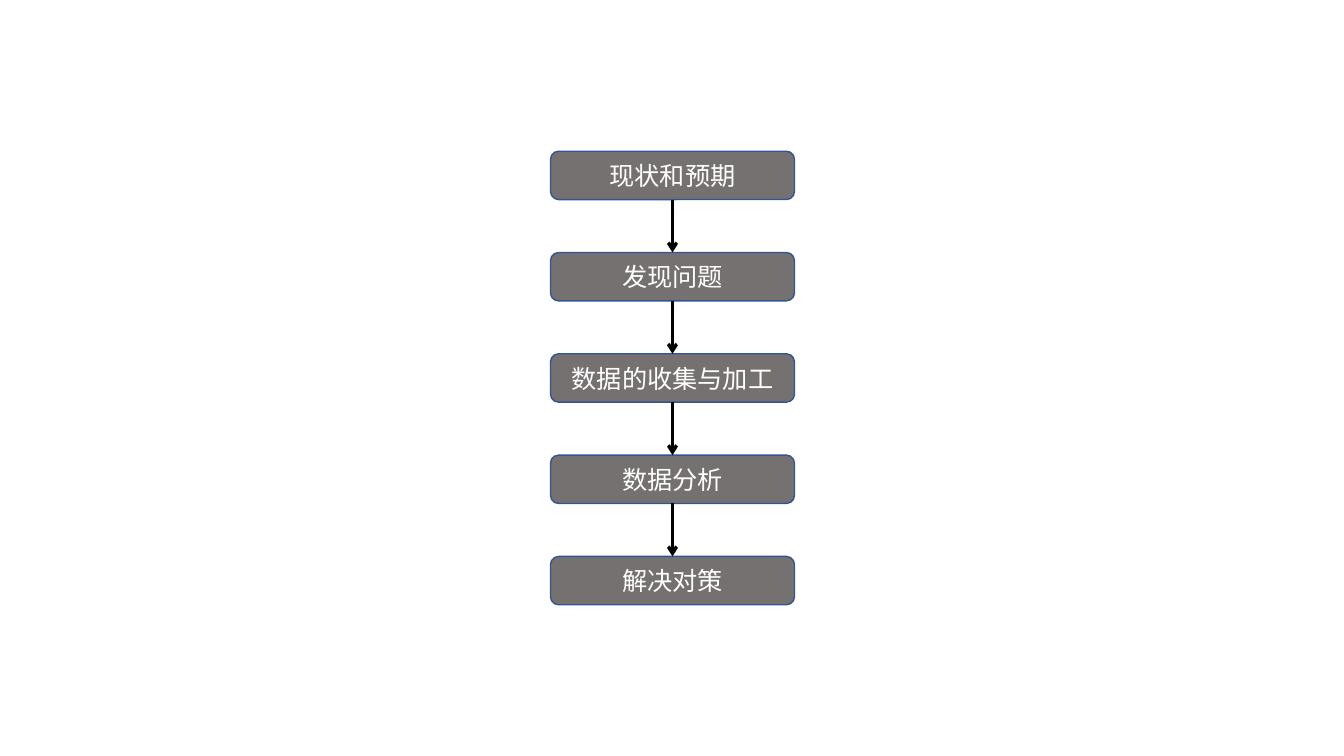
from lxml import etree
from pptx import Presentation
from pptx.dml.color import RGBColor
from pptx.enum.shapes import MSO_CONNECTOR, MSO_SHAPE
from pptx.enum.text import MSO_ANCHOR, PP_ALIGN
from pptx.oxml.ns import qn
from pptx.shapes.autoshape import Shape
from pptx.shapes.connector import Connector
from pptx.slide import Slide
from pptx.util import Inches, Pt

ROUNDED = MSO_SHAPE.ROUNDED_RECTANGLE
STRAIGHT = MSO_CONNECTOR.STRAIGHT
MIDDLE = MSO_ANCHOR.MIDDLE
CENTER = PP_ALIGN.CENTER

FONT = "Noto Sans CJK SC"
STEP_FILL, STEP_BORDER = "767171", "325491"
STEP_TEXT, ARROW_COLOR = "FFFFFF", "000000"

STEPS = ["现状和预期", "发现问题", "数据的收集与加工", "数据分析", "解决对策"]
STEP_LEFT, STEP_WIDTH, STEP_HEIGHT = 5.46, 2.42, 0.48
FIRST_TOP, LAST_TOP = 1.5, 5.52
PITCH = (LAST_TOP - FIRST_TOP) / (len(STEPS) - 1)
TOP_SITE, BOTTOM_SITE = 0, 2


def color(hex_value: str) -> RGBColor:
    return RGBColor.from_string(hex_value)


def add_step(slide: Slide, label: str, top: float) -> Shape:
    step = slide.shapes.add_shape(
        ROUNDED, Inches(STEP_LEFT), Inches(top), Inches(STEP_WIDTH), Inches(STEP_HEIGHT)
    )
    step.shadow.inherit = False
    step.fill.solid()
    step.fill.fore_color.rgb = color(STEP_FILL)
    step.line.color.rgb = color(STEP_BORDER)
    step.line.width = Pt(1)

    frame = step.text_frame
    frame.text = label
    frame.word_wrap = True
    frame.vertical_anchor = MIDDLE
    paragraph = frame.paragraphs[0]
    paragraph.alignment = CENTER
    font = paragraph.runs[0].font
    font.size = Pt(18)
    font.name = FONT
    font.color.rgb = color(STEP_TEXT)
    # Chinese text takes its typeface from the East Asian slot
    east_asian = etree.SubElement(paragraph.runs[0].font._element, qn("a:ea"))
    east_asian.set("typeface", FONT)
    return step


def add_arrow(slide: Slide, source: Shape, target: Shape) -> Connector:
    arrow = slide.shapes.add_connector(STRAIGHT, 0, 0, 0, 0)
    arrow.begin_connect(source, BOTTOM_SITE)
    arrow.end_connect(target, TOP_SITE)
    arrow.line.color.rgb = color(ARROW_COLOR)
    arrow.line.width = Pt(2.25)
    # Arrowhead at the target, no theme shadow
    etree.SubElement(arrow.line._get_or_add_ln(), qn("a:tailEnd")).set("type", "arrow")
    etree.SubElement(arrow._element.spPr, qn("a:effectLst"))
    return arrow


# Slide
presentation = Presentation()
presentation.slide_width = Inches(13.33)
presentation.slide_height = Inches(7.5)
blank_layout = presentation.slide_layouts[6]
flow_slide = presentation.slides.add_slide(blank_layout)

# Steps from top to bottom
flow_steps = [
    add_step(flow_slide, label, FIRST_TOP + index * PITCH)
    for index, label in enumerate(STEPS)
]

# Arrows between neighbouring steps
for upper, lower in zip(flow_steps, flow_steps[1:]):
    add_arrow(flow_slide, upper, lower)

presentation.save("out.pptx")
